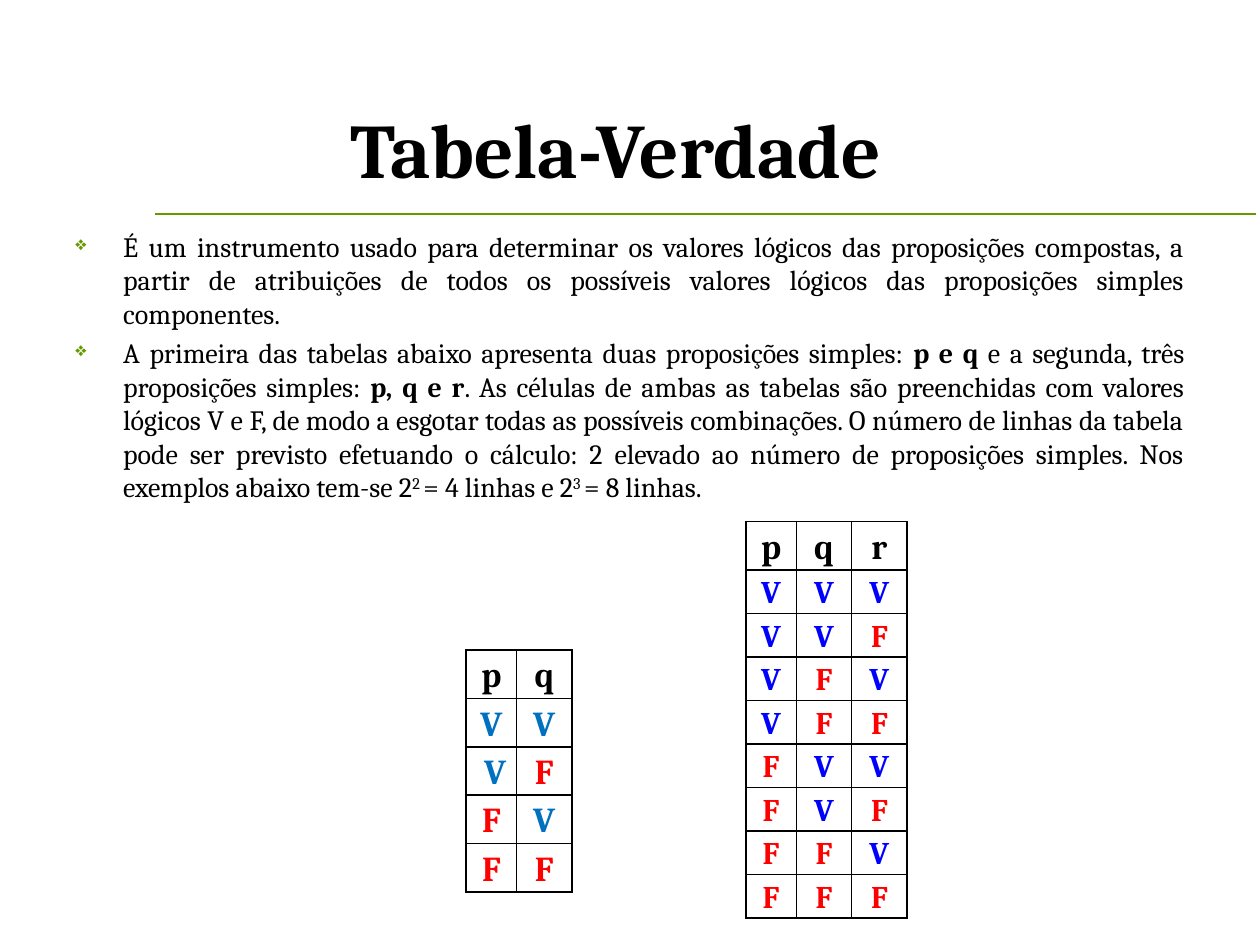
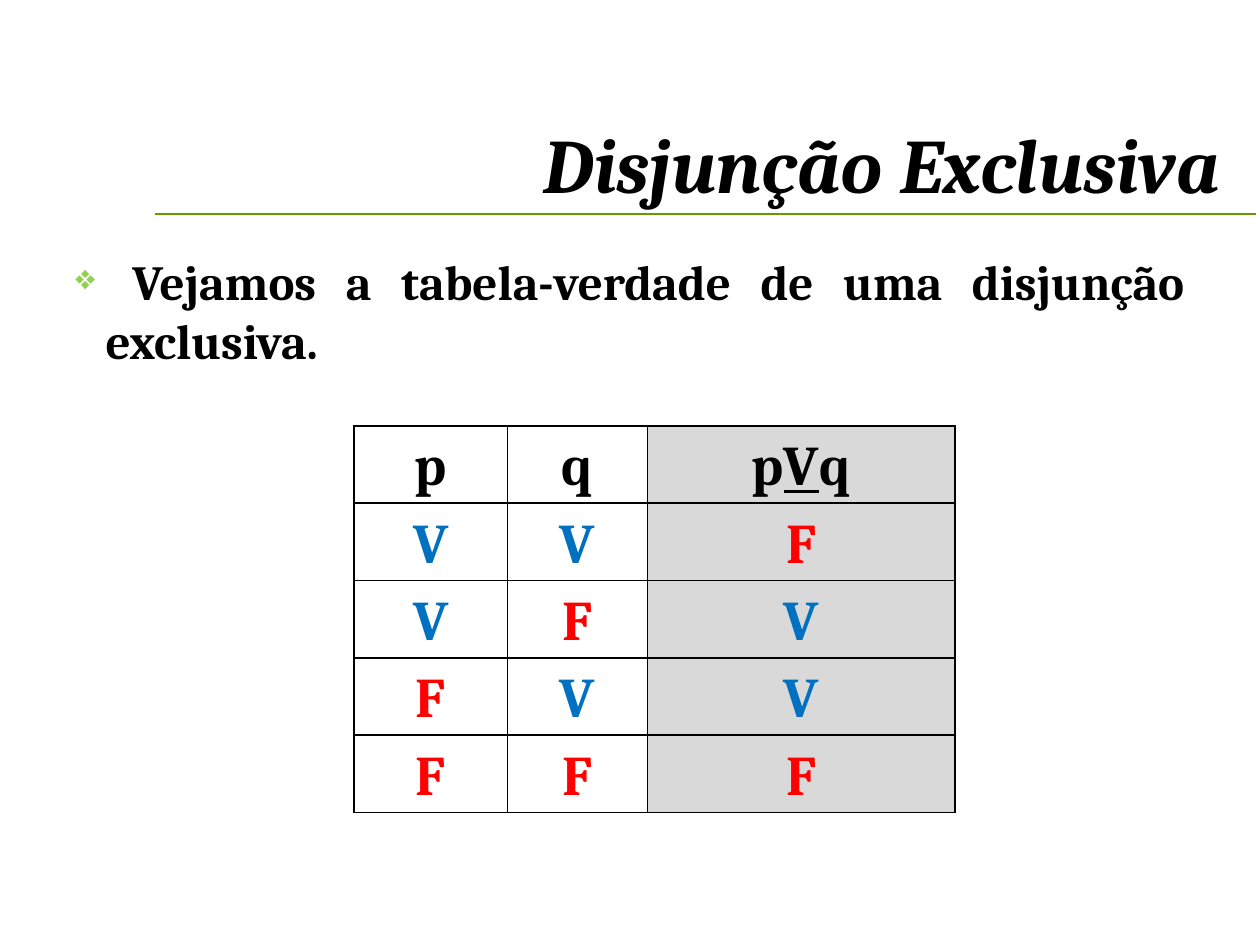
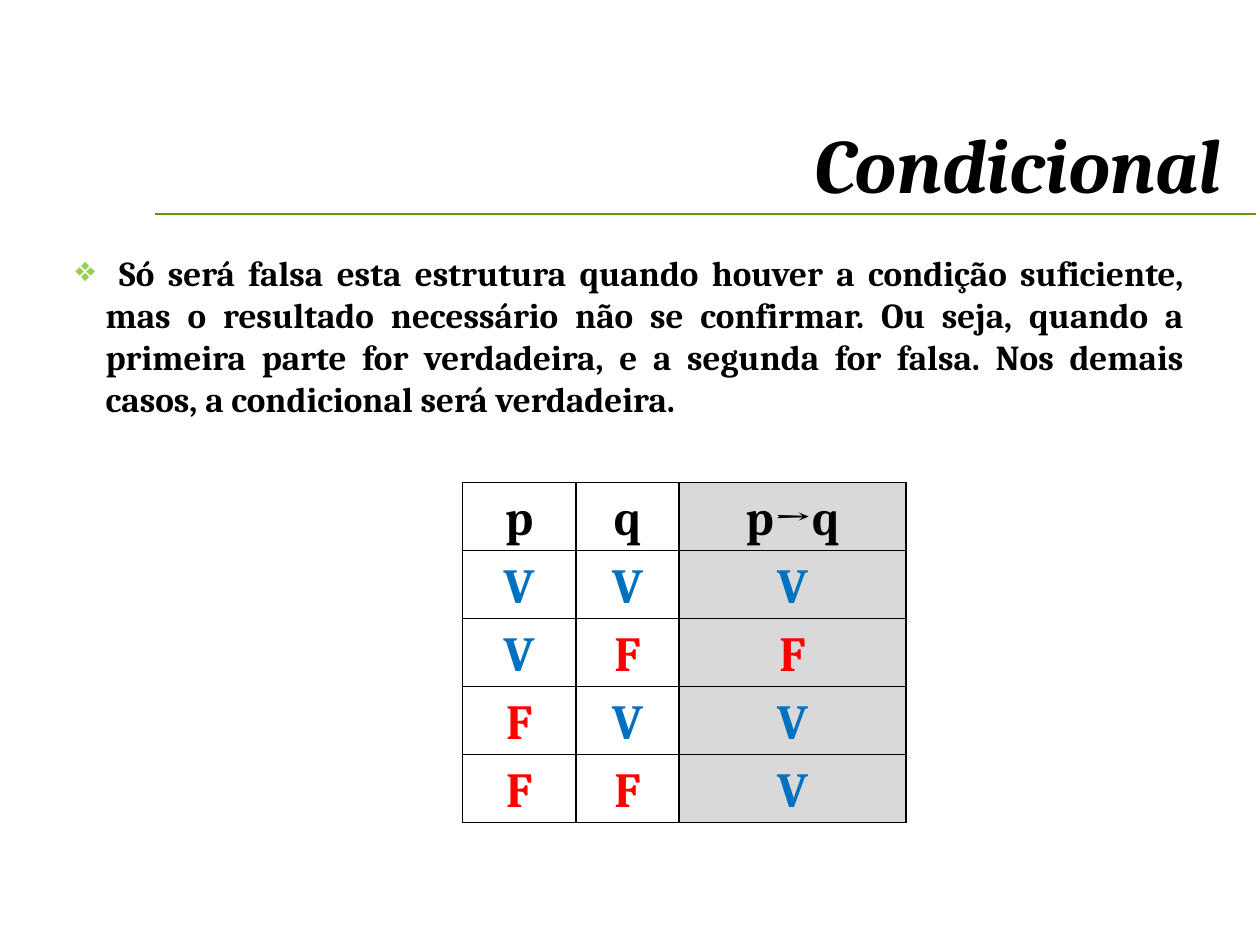
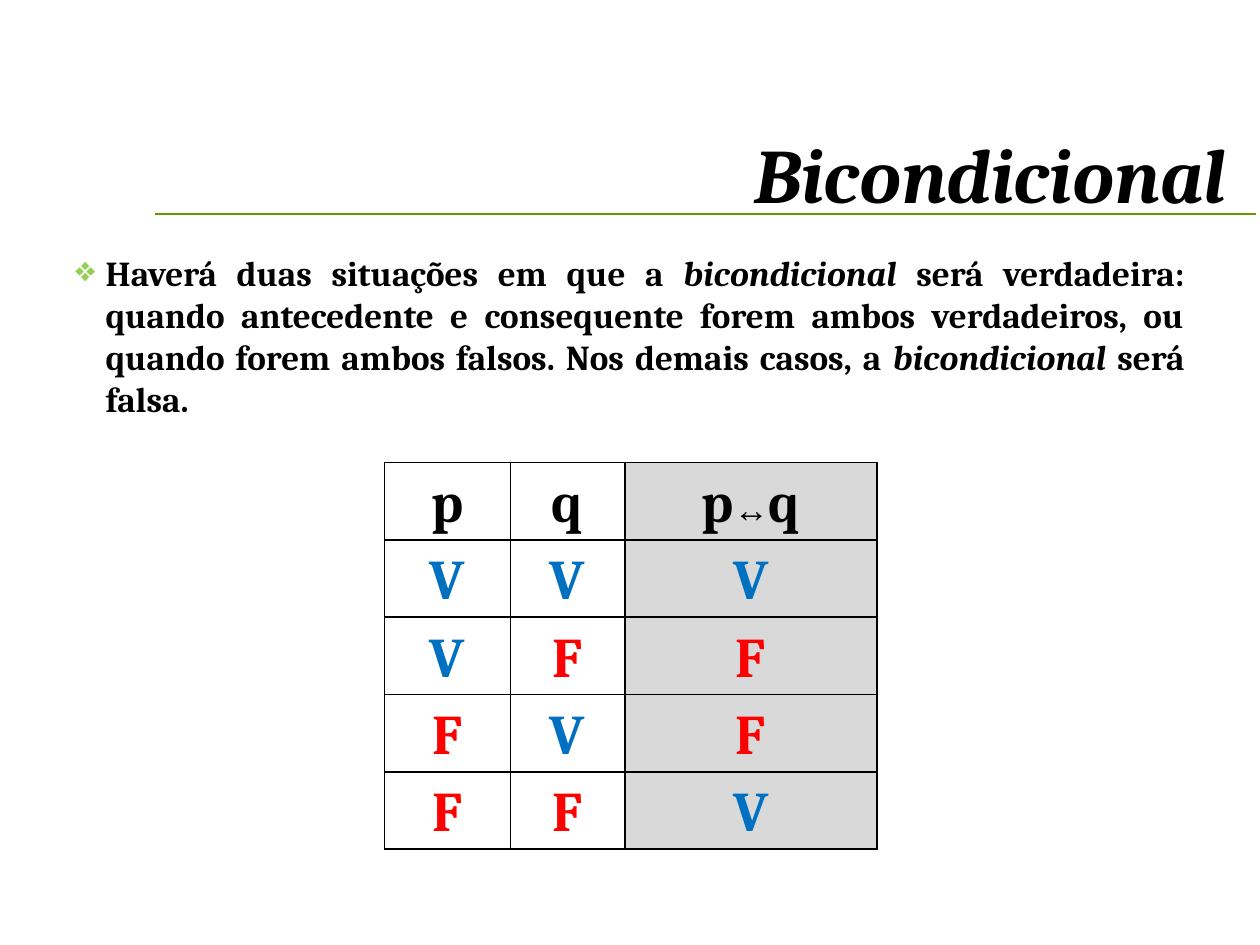
from itertools import product

from lxml.etree import SubElement
from pptx import Presentation
from pptx.dml.color import RGBColor
from pptx.enum.shapes import MSO_CONNECTOR
from pptx.enum.text import MSO_ANCHOR, PP_ALIGN
from pptx.oxml.ns import qn
from pptx.util import Inches, Pt

FONT = "Cambria"
BLACK, WHITE, GREY = "000000", "FFFFFF", "D9D9D9"
GREEN, LIME = "669900", "92D050"
BLUE, PURE_BLUE, RED = "0070C0", "0000FF", "FF0000"
RESULT_FILLS = (None, None, GREY)


def rgb(color):
    return RGBColor.from_string(color)


# Text helpers
def add_runs(p, parts, size, color=BLACK, **base):
    """Each part is a string, or a pair of a string and its own format."""
    for part in parts:
        text, own = (part, {}) if isinstance(part, str) else part
        style = {"name": FONT, "size": size, **base, **own}
        r = p.add_run()
        r.text = text
        r.font.name = style["name"]
        r.font.size = Pt(style["size"])
        r.font.color.rgb = rgb(color)
        r.font.bold = style.get("bold", False)
        r.font.italic = style.get("italic", False)
        if style.get("underline"):
            r.font.underline = True
        if style.get("superscript"):
            r._r.get_or_add_rPr().set("baseline", "30000")


def add_bullet(p, color, percent, indent):
    pPr = p._p.get_or_add_pPr()
    pPr.set("marL", str(Inches(indent)))
    pPr.set("indent", str(-Inches(indent)))
    SubElement(SubElement(pPr, qn("a:buClr")), qn("a:srgbClr"), val=color)
    SubElement(pPr, qn("a:buSzPct"), val=str(percent * 1000))
    SubElement(pPr, qn("a:buChar"), char="❖")


def add_box(s, box):
    tf = s.shapes.add_textbox(*map(Inches, box)).text_frame
    tf.word_wrap = True
    return tf


# Slide with its title and the rule below it
def add_titled_slide(prs, title, box, italic=True):
    s = prs.slides.add_slide(prs.slide_layouts[6])
    rule = s.shapes.add_connector(MSO_CONNECTOR.STRAIGHT, Inches(1.23), Inches(1.7),
                                  Inches(9.97), Inches(1.7))
    rule.line.color.rgb = rgb(GREEN)
    rule.line.width = Pt(1)
    SubElement(rule._element.spPr, qn("a:effectLst"))

    tf = add_box(s, box)
    tf.vertical_anchor = MSO_ANCHOR.MIDDLE
    p = tf.paragraphs[0]
    p.alignment = PP_ALIGN.CENTER
    p.line_spacing = 0.9
    add_runs(p, [title], 44, bold=True, italic=italic)
    return s


# Justified body with diamond bullets
def add_body(s, box, paragraphs, size, bullet=LIME, percent=100, indent=0.24,
             space_before=0, **base):
    tf = add_box(s, box)
    for i, parts in enumerate(paragraphs):
        p = tf.paragraphs[0] if i == 0 else tf.add_paragraph()
        p.alignment = PP_ALIGN.JUSTIFY
        p.space_before = Pt(space_before)
        add_bullet(p, bullet, percent, indent)
        add_runs(p, parts, size, **base)


# Truth tables
def style_cell(cell, fill, inset):
    tcPr = cell._tc.get_or_add_tcPr()
    for side in ("lnL", "lnR", "lnT", "lnB"):
        ln = SubElement(tcPr, qn(f"a:{side}"), w=str(Pt(1)))
        SubElement(SubElement(ln, qn("a:solidFill")), qn("a:srgbClr"), val=BLACK)
    if fill:
        cell.fill.solid()
        cell.fill.fore_color.rgb = rgb(fill)
    else:
        cell.fill.background()
    cell.margin_left = cell.margin_right = Inches(inset)
    cell.margin_top = cell.margin_bottom = 0


def add_truth_table(s, left, top, widths, row_height, size, names, fills, result=None,
                    header=None, head_height=None, head_size=None, true_color=BLUE,
                    inset=0.07):
    """One row per combination of the names, plus a result column if given."""
    rows = [list(values) for values in product("VF", repeat=len(names))]
    heads = [[name] for name in names]
    if result:
        heads.append(header)
        for row in rows:
            row.append("V" if result(*(v == "V" for v in row)) else "F")
    heights = [head_height or row_height] + [row_height] * len(rows)
    table = s.shapes.add_table(len(heights), len(widths), Inches(left), Inches(top),
                               Inches(sum(widths)), Inches(sum(heights))).table
    table.first_row = table.horz_banding = False
    for column, width in zip(table.columns, widths):
        column.width = Inches(width)
    for row, height in zip(table.rows, heights):
        row.height = Inches(height)

    for i, row in enumerate([heads] + rows):
        for j, value in enumerate(row):
            cell = table.cell(i, j)
            style_cell(cell, fills[j], inset)
            p = cell.text_frame.paragraphs[0]
            p.alignment = PP_ALIGN.CENTER
            p.line_spacing = 1.15
            if i == 0:
                add_runs(p, value, head_size or size, bold=True)
            else:
                add_runs(p, [value], size, true_color if value == "V" else RED, bold=True)
    return table


# Slide types
def add_intro_slide(prs):
    s = add_titled_slide(prs, "Tabela-Verdade", (0.24, 0.44, 9.3, 1.56), italic=False)
    bold, power = {"bold": True}, {"superscript": True}
    add_body(s, (0.5, 1.77, 9, 1.75), [
        ["É um instrumento usado para determinar os valores lógicos das proposições "
         "compostas, a partir de atribuições de todos os possíveis valores lógicos das "
         "proposições simples componentes."],
        ["A primeira das tabelas abaixo apresenta duas proposições simples: ",
         ("p e q", bold), " e a segunda, três proposições simples: ",
         ("p, q e r", bold),
         ". As células de ambas as tabelas são preenchidas com valores lógicos V e F, de "
         "modo a esgotar todas as possíveis combinações. O número de linhas da tabela pode "
         "ser previsto efetuando o cálculo: 2 elevado ao número de proposições simples. Nos "
         "exemplos abaixo tem-se 2",
         ("2 ", power), "= 4 linhas e 2", ("3 ", power), "= 8 linhas."],
    ], 16, bullet=GREEN, percent=70, indent=0.38, space_before=3.2)
    pair = add_truth_table(s, 3.7, 5.16, (0.4, 0.44), 0.37, 20, "pq", (None, WHITE),
                           inset=0.08)
    pair.cell(2, 0).text_frame.paragraphs[0].runs[0].text = " V"
    add_truth_table(s, 5.92, 4.14, (0.4, 0.44, 0.44), 0.345, 18, "pqr", [WHITE] * 3,
                    head_height=0.38, head_size=20, true_color=PURE_BLUE, inset=0.08)


def add_operator_slide(prs, title, title_at, body, table_at, widths, row_height, size,
                       header, result):
    s = add_titled_slide(prs, title, (*title_at, 9, 0.93))
    add_body(s, (0.5, 1.95, 9, 4.95), [body], 20, bold=True)
    add_truth_table(s, *table_at, widths, row_height, size, "pq", RESULT_FILLS, result, header)


def main():
    prs = Presentation()
    prs.slide_width, prs.slide_height = Inches(10), Inches(7.5)
    plain, italic = {"bold": False}, {"italic": True}

    add_intro_slide(prs)
    add_operator_slide(
        prs, "Disjunção Exclusiva", (2.5, 0.87),
        [(" ", plain),
         ("Vejamos a tabela-verdade de uma disjunção exclusiva.", {"size": 28})],
        (2.81, 3.38), (1.22, 1.11, 2.44), 0.61, 32,
        ["p", ("V", {"underline": True}), "q"], lambda p, q: p != q)
    add_operator_slide(
        prs, "Condicional", (3.58, 0.87),
        [(" ", plain),
         "Só será falsa esta estrutura quando houver a condição suficiente, mas o resultado "
         "necessário não se confirmar. Ou seja, quando a primeira parte for verdadeira, e a "
         "segunda for falsa. Nos demais casos, a condicional será verdadeira."],
        (3.67, 3.83), (0.9, 0.82, 1.8), 0.54, 28,
        ["p→q"], lambda p, q: not p or q)
    add_operator_slide(
        prs, "Bicondicional", (3.36, 0.95),
        ["Haverá duas situações em que a ", ("bicondicional ", italic),
         "será verdadeira: quando antecedente e consequente forem ambos verdadeiros, ou "
         "quando forem ambos falsos. Nos demais casos, a ",
         ("bicondicional ", italic), "será falsa."],
        (3.05, 3.67), (1, 0.91, 2), 0.61, 32,
        ["p", ("↔", {"size": 20, "name": "Times New Roman"}), "q"], lambda p, q: p == q)
    prs.save("out.pptx")


if __name__ == "__main__":
    main()
